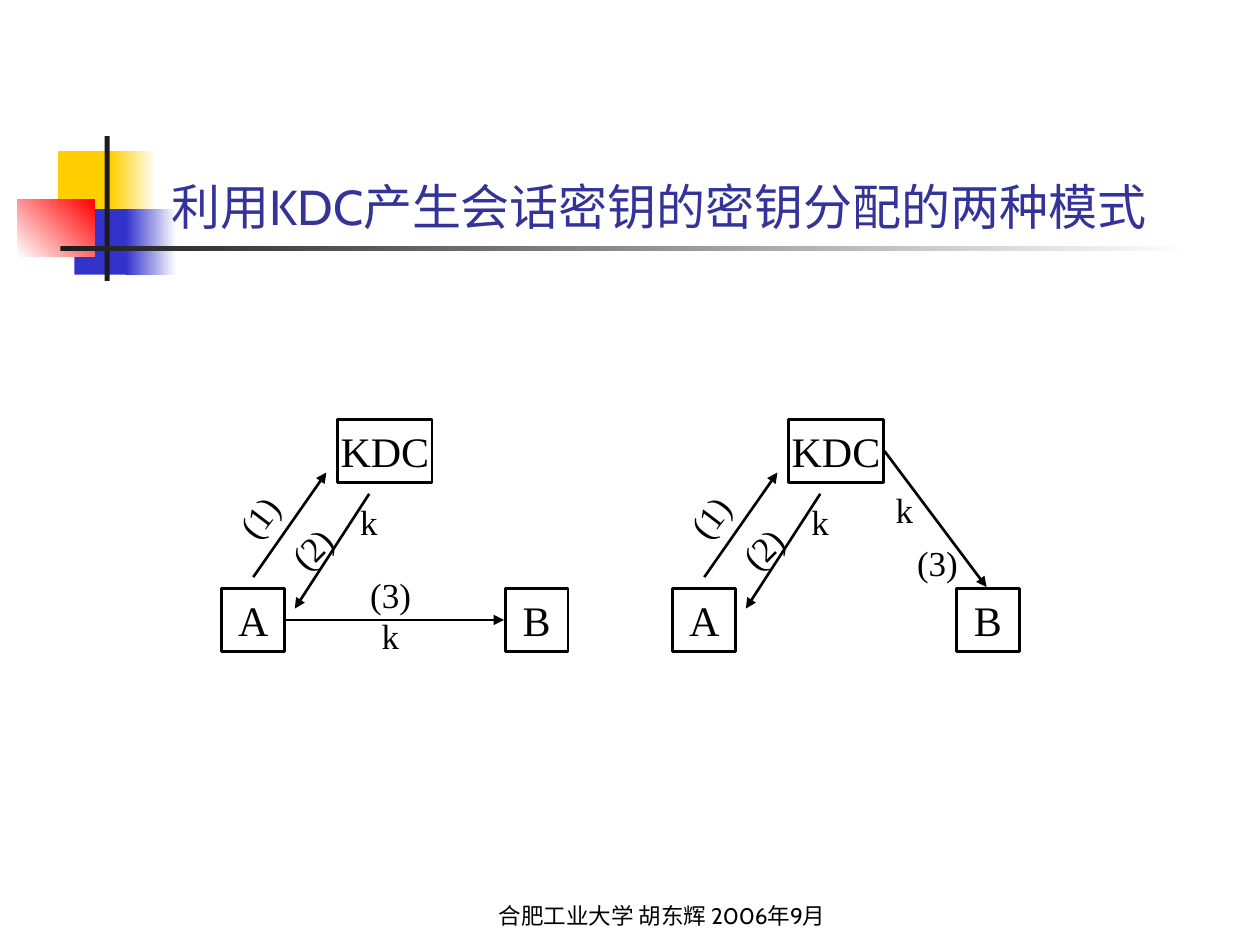
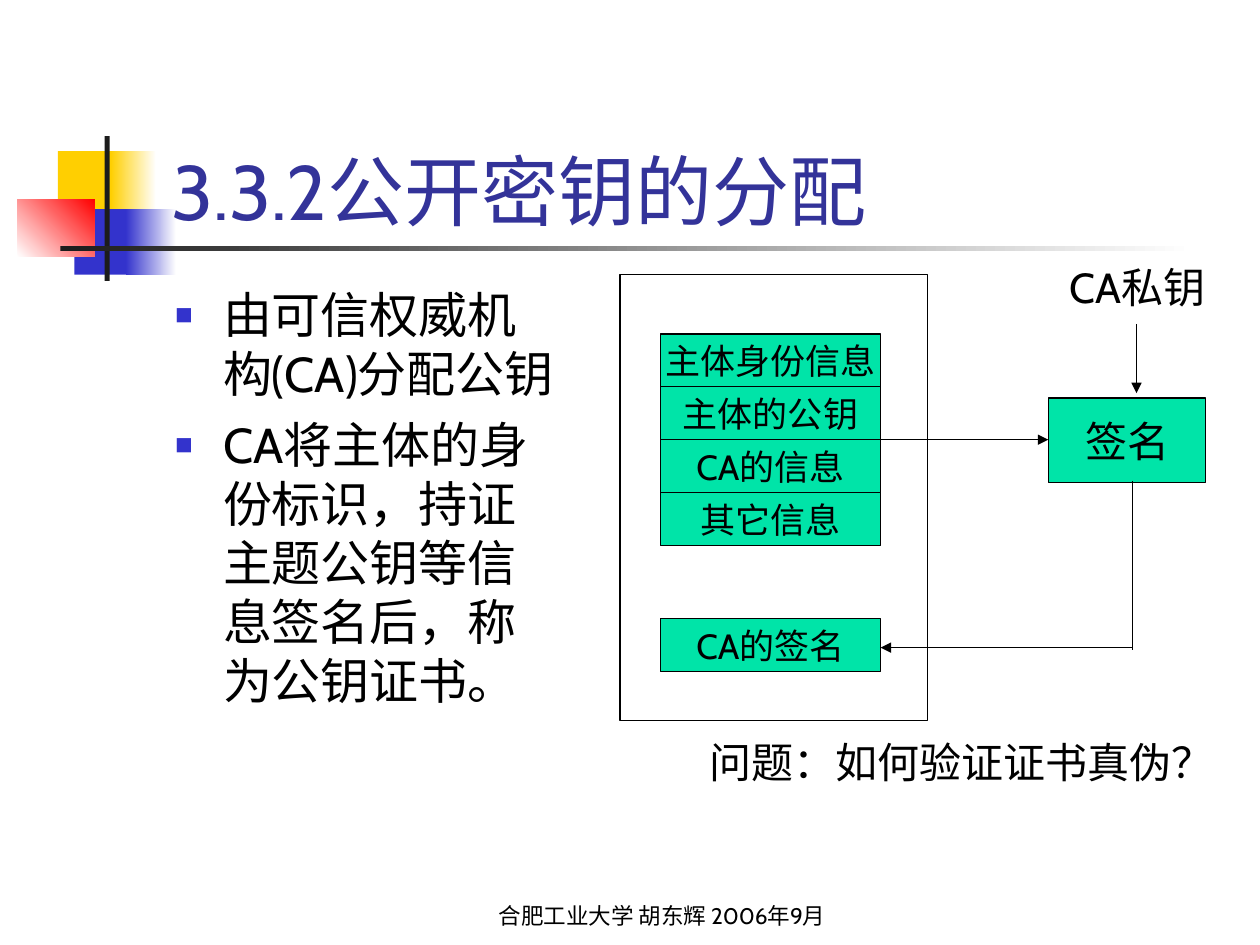
from dataclasses import dataclass, replace

from lxml import etree
from pptx import Presentation
from pptx.dml.color import RGBColor
from pptx.enum.shapes import MSO_CONNECTOR, MSO_SHAPE
from pptx.enum.text import MSO_ANCHOR, MSO_AUTO_SIZE, PP_ALIGN
from pptx.oxml.ns import qn
from pptx.util import Inches, Pt

RECT = MSO_SHAPE.RECTANGLE
STRAIGHT = MSO_CONNECTOR.STRAIGHT
TOP, MIDDLE, BOTTOM = MSO_ANCHOR.TOP, MSO_ANCHOR.MIDDLE, MSO_ANCHOR.BOTTOM
NO_FIT, GROW = MSO_AUTO_SIZE.NONE, MSO_AUTO_SIZE.SHAPE_TO_FIT_TEXT
LEFT, CENTER = PP_ALIGN.LEFT, PP_ALIGN.CENTER

BLACK = RGBColor(0x00, 0x00, 0x00)
WHITE = RGBColor(0xFF, 0xFF, 0xFF)
YELLOW = RGBColor(0xFF, 0xCF, 0x01)
BLUE = RGBColor(0x33, 0x33, 0xCC)
RED = RGBColor(0xFF, 0x00, 0x00)
CHARCOAL = RGBColor(0x1C, 0x1C, 0x1C)
TITLE_BLUE = RGBColor(0x33, 0x33, 0x99)
GREEN = RGBColor(0x00, 0xE4, 0xA8)

SANS = "Cabin"
SERIF = "Times New Roman"
FOOTER = "合肥工业大学 胡东辉 2006年9月"
TITLE_ONLY, TITLE_AND_BODY = 5, 1


@dataclass(frozen=True)
class Band:
    x: float
    y: float
    w: float
    h: float
    start: RGBColor
    end: RGBColor | None = None
    angle: float = 0


@dataclass(frozen=True)
class Box:
    text: str
    x: float
    y: float
    w: float
    h: float
    size: float = 20
    font: str = SANS
    fill: RGBColor | None = GREEN
    line: float = 0.75


@dataclass(frozen=True)
class Label:
    text: str
    x: float
    y: float
    w: float
    h: float = 0.44
    size: float = 20
    font: str = SERIF
    rotation: float = 0


@dataclass(frozen=True)
class Line:
    x1: float
    y1: float
    x2: float
    y2: float
    width: float = 0.75
    arrow: bool = True


BANDS = [
    Band(0.46, 1.2, 0.48, 0.52, YELLOW),
    Band(0.88, 1.2, 0.36, 0.52, YELLOW, WHITE),
    Band(0.59, 1.66, 0.46, 0.52, BLUE),
    Band(1, 1.66, 0.4, 0.52, BLUE, WHITE),
    Band(0.14, 1.58, 0.61, 0.46, WHITE, RED, 45),
    Band(0.83, 1.08, 0.04, 1.15, CHARCOAL),
    Band(0.48, 1.95, 9, 0.04, CHARCOAL, WHITE),
]

# Parts common to both key distribution modes, placed for the left one
MODE_SHIFT = 3.58
STEP_W, KEY_W = 0.54, 0.35
MODE_PARTS = [
    Box("A", 1.76, 4.67, 0.5, 0.5, 24, SERIF, None, 1.5),
    Box("B", 4.01, 4.67, 0.5, 0.5, 24, SERIF, None, 1.5),
    Box("KDC", 2.68, 3.33, 0.75, 0.5, 24, SERIF, None, 1.5),
    Label("(1)", 1.79, 3.88, STEP_W, rotation=307.4),
    Line(2.93, 3.92, 2.34, 4.83, 1.5),
    Line(2.01, 4.58, 2.59, 3.75, 1.5),
    Label("(2)", 2.21, 4.13, STEP_W, rotation=314.6),
    Label("k", 2.76, 3.92, KEY_W),
]
VIA_A = [
    Line(2.27, 4.92, 4, 4.92, 1.5),
    Label("(3)", 2.84, 4.5, STEP_W),
    Label("k", 2.93, 4.83, KEY_W),
]
DIRECT_TO_B = [
    Line(7.02, 3.58, 7.83, 4.66, 1.5),
    Label("(3)", 7.18, 4.25, STEP_W),
    Label("k", 7.01, 3.83, KEY_W),
]

CERT_X, CERT_W, CERT_ROW = 5.24, 1.75, 0.42
CERT_FIELDS = ["主体身份信息", "主体的公钥", "CA的信息", "其它信息"]
CERTIFICATE = [
    Box("", 4.92, 2.18, 2.44, 3.54, fill=None),
    *(Box(field, CERT_X, 2.65 + i * CERT_ROW, CERT_W, CERT_ROW)
      for i, field in enumerate(CERT_FIELDS)),
    Box("CA的签名", CERT_X, 4.91, CERT_W, CERT_ROW),
    Line(6.99, 3.49, 8.32, 3.49),
    Box("签名", 8.32, 3.16, 1.25, 0.67, 24),
    Line(8.99, 3.82, 8.99, 5.16, arrow=False),
    Line(8.99, 5.14, 6.99, 5.14),
    Label("问题：如何验证证书真伪？", 5.53, 5.8, 4.2, 0.5, 24, SANS),
    Line(9.02, 2.57, 9.02, 3.12),
    Label("CA私钥", 8.39, 2.03, 1.37, 0.5, 24, SANS),
]
CA_POINTS = [
    "由可信权威机构(CA)分配公钥",
    "CA将主体的身份标识，持证主题公钥等信息签名后，称为公钥证书。",
]


def frame(part) -> tuple:
    return tuple(Inches(v) for v in (part.x, part.y, part.w, part.h))


def place(shape, x: float, y: float, w: float, h: float) -> None:
    shape.left, shape.top = Inches(x), Inches(y)
    shape.width, shape.height = Inches(w), Inches(h)


def add_run(p, text: str, size: float, font: str = SANS, color: RGBColor = BLACK) -> None:
    r = p.add_run()
    r.text = text
    r.font.size = Pt(size)
    r.font.name = font
    r.font.color.rgb = color


def set_frame(tf, anchor, wrap: bool = True, fit=NO_FIT) -> None:
    tf.word_wrap = wrap
    tf.auto_size = fit
    tf.vertical_anchor = anchor


def draw_band(slide, band: Band):
    s = slide.shapes.add_shape(RECT, *frame(band))
    s.shadow.inherit = False
    s.line.fill.background()
    if band.end is None:
        s.fill.solid()
        s.fill.fore_color.rgb = band.start
    else:
        s.fill.gradient()
        s.fill.gradient_angle = band.angle
        for stop, color in zip(s.fill.gradient_stops, (band.start, band.end)):
            stop.color.rgb = color
    return s


def move_bands_to_master(prs, slide) -> None:
    """Draw the bands on a slide, then hand them to the master behind its placeholders."""
    tree = prs.slide_master.shapes.element
    for i, band in enumerate(BANDS):
        s = draw_band(slide, band)
        s.element.nvSpPr.cNvPr.set("id", str(100 + i))
        tree.insert(2 + i, s.element)


def draw_box(slide, box: Box) -> None:
    s = slide.shapes.add_shape(RECT, *frame(box))
    s.shadow.inherit = False
    s.line.color.rgb = BLACK
    s.line.width = Pt(box.line)
    if box.fill is None:
        s.fill.background()
    else:
        s.fill.solid()
        s.fill.fore_color.rgb = box.fill
    if box.text:
        set_frame(s.text_frame, MIDDLE, wrap=False)
        p = s.text_frame.paragraphs[0]
        p.alignment = CENTER
        add_run(p, box.text, box.size, box.font)


def draw_label(slide, label: Label) -> None:
    s = slide.shapes.add_textbox(*frame(label))
    s.rotation = label.rotation
    set_frame(s.text_frame, TOP, wrap=False, fit=GROW)
    add_run(s.text_frame.paragraphs[0], label.text, label.size, label.font)


def draw_line(slide, line: Line) -> None:
    ends = (Inches(v) for v in (line.x1, line.y1, line.x2, line.y2))
    c = slide.shapes.add_connector(STRAIGHT, *ends)
    c.line.color.rgb = BLACK
    c.line.width = Pt(line.width)
    sp_pr = c.element.spPr
    if line.arrow:
        etree.SubElement(sp_pr.find(qn("a:ln")), qn("a:tailEnd"), type="triangle")
    etree.SubElement(sp_pr, qn("a:effectLst"))


DRAW = {Box: draw_box, Label: draw_label, Line: draw_line}


def draw_parts(slide, parts: list) -> None:
    for part in parts:
        DRAW[type(part)](slide, part)


def shifted(part, dx: float):
    if isinstance(part, Line):
        return replace(part, x1=part.x1 + dx, x2=part.x2 + dx)
    return replace(part, x=part.x + dx)


def add_slide(prs, layout: int, title: str, size: float):
    """Add a slide with the shared title style and footer."""
    slide = prs.slides.add_slide(prs.slide_layouts[layout])
    place(slide.shapes.title, 1.26, 0.67, 8.52, 1.25)
    tf = slide.shapes.title.text_frame
    set_frame(tf, BOTTOM)
    tf.paragraphs[0].alignment = LEFT
    add_run(tf.paragraphs[0], title, size, color=TITLE_BLUE)

    footer = slide.shapes.add_textbox(*map(Inches, (3.67, 6.92, 3.17, 0.5)))
    set_frame(footer.text_frame, BOTTOM)
    p = footer.text_frame.paragraphs[0]
    p.alignment = CENTER
    add_run(p, FOOTER, 12.9)
    return slide


def set_square_bullet(p) -> None:
    p_pr = p._p.get_or_add_pPr()
    p_pr.set("marL", str(Inches(0.38)))
    p_pr.set("indent", str(-Inches(0.38)))
    color = etree.SubElement(p_pr, qn("a:buClr"))
    etree.SubElement(color, qn("a:srgbClr"), val=str(BLUE))
    etree.SubElement(p_pr, qn("a:buSzPct"), val="60000")
    etree.SubElement(p_pr, qn("a:buChar"), char="■")


def fill_body(body, points: list[str]) -> None:
    place(body, 1.29, 2.21, 3.23, 4.5)
    tf = body.text_frame
    set_frame(tf, TOP)
    for i, point in enumerate(points):
        p = tf.add_paragraph() if i else tf.paragraphs[0]
        set_square_bullet(p)
        p.space_before = Pt(7 if i else 0)
        add_run(p, point, 28)


def main() -> None:
    prs = Presentation()
    prs.slide_width, prs.slide_height = Inches(10), Inches(7.5)

    modes = add_slide(prs, TITLE_ONLY, "利用KDC产生会话密钥的密钥分配的两种模式", 28)
    move_bands_to_master(prs, modes)
    draw_parts(modes, MODE_PARTS + VIA_A)
    draw_parts(modes, [shifted(part, MODE_SHIFT) for part in MODE_PARTS] + DIRECT_TO_B)

    public_keys = add_slide(prs, TITLE_AND_BODY, "3.3.2公开密钥的分配", 44)
    fill_body(public_keys.placeholders[1], CA_POINTS)
    draw_parts(public_keys, CERTIFICATE)

    prs.save("out.pptx")


if __name__ == "__main__":
    main()
